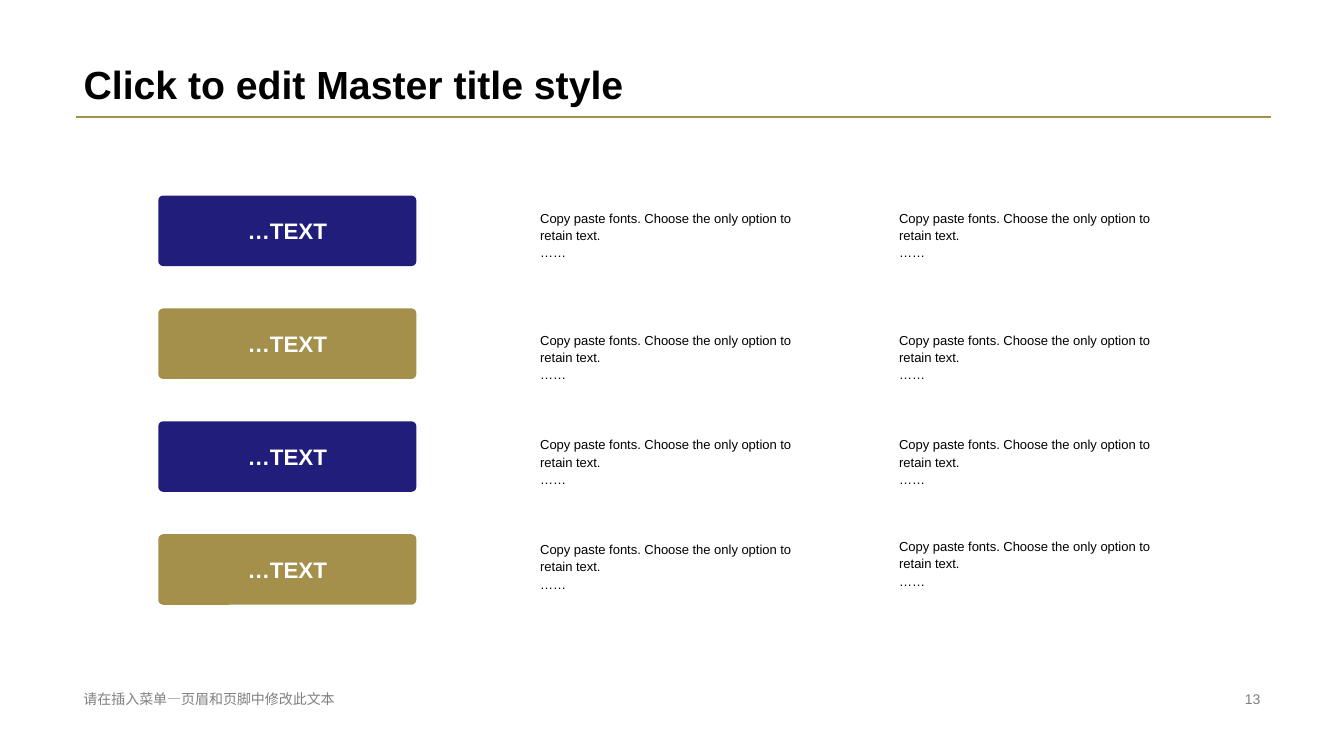
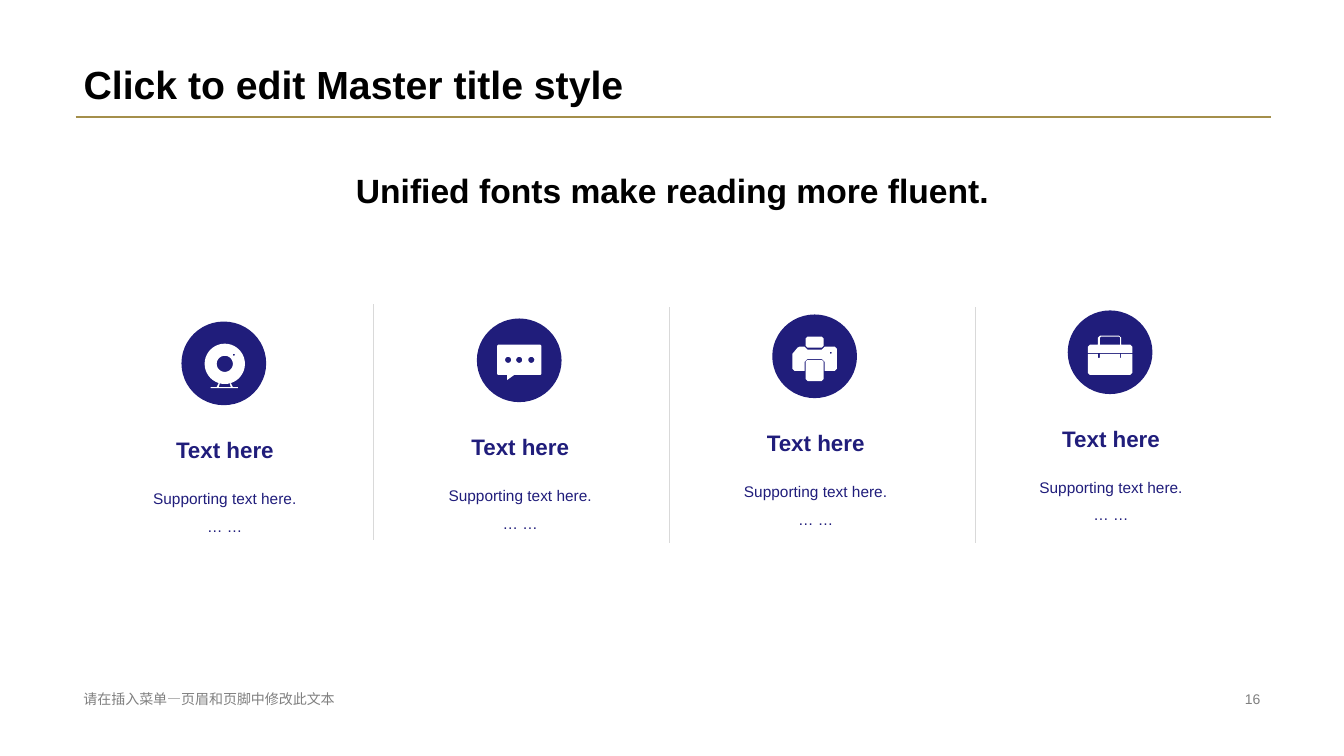
"""Build two template slides: a labelled list and a row of icon columns."""
from dataclasses import dataclass
from math import cos, pi, sin

from lxml import etree
from pptx import Presentation
from pptx.dml.color import RGBColor
from pptx.enum.shapes import MSO_CONNECTOR, MSO_SHAPE
from pptx.enum.text import MSO_ANCHOR, MSO_AUTO_SIZE, PP_ALIGN
from pptx.oxml.ns import qn
from pptx.util import Inches, Pt

LEFT, CENTER, RIGHT = PP_ALIGN.LEFT, PP_ALIGN.CENTER, PP_ALIGN.RIGHT
TOP, MIDDLE, BOTTOM = MSO_ANCHOR.TOP, MSO_ANCHOR.MIDDLE, MSO_ANCHOR.BOTTOM
STRAIGHT = MSO_CONNECTOR.STRAIGHT
ELLIPSE, ROUNDED = MSO_SHAPE.OVAL, MSO_SHAPE.ROUNDED_RECTANGLE
NO_AUTOFIT = MSO_AUTO_SIZE.NONE
TITLE_ONLY = 5


@dataclass(frozen=True)
class Theme:
    """Colours, font and type sizes shared by the slides."""
    navy: str = "201D7B"
    gold: str = "A48F4B"
    black: str = "000000"
    white: str = "FFFFFF"
    grey: str = "808080"
    divider: str = "D9D9D9"
    font: str = "Arial"
    title: float = 28
    headline: float = 24
    label: float = 16
    support: float = 11
    footer: float = 10
    description: float = 9.3


THEME = Theme()
TITLE = "Click to edit Master title style"
FOOTER = "请在插入菜单—页眉和页脚中修改此文本"
LABEL = "…TEXT"
DESCRIPTION = "Copy paste fonts. Choose the only option to retain text.\n……"
HEADLINE = "Unified fonts make reading more fluent."
COLUMN_HEADING = "Text here"
COLUMN_SUPPORT = "Supporting text here.\n… …"

LABEL_FILLS = (THEME.navy, THEME.gold, THEME.navy, THEME.gold)
DESCRIPTION_COLUMNS = {
    5.26: (2.02, 3.23, 4.27, 5.31),
    8.82: (2.02, 3.23, 4.27, 5.28),
}
COLUMN_PITCH = 2.93
DISC_TOPS = (3.19, 3.16, 3.12, 3.08)
DIVIDERS = ((3.7, 3.02), (6.64, 3.05), (9.67, 3.05))


def circle(x, y, radius, steps=40):
    """Return the outline of a circle as points."""
    angles = [2 * pi * step / steps for step in range(steps)]
    return [(x + radius * cos(a), y + radius * sin(a)) for a in angles]


def box(left, top, right, bottom, cut=0):
    """Return a rectangle outline whose corners are cut off by the given length."""
    if not cut:
        return [(left, top), (right, top), (right, bottom), (left, bottom)]
    return [(left + cut, top), (right - cut, top),
            (right, top + cut), (right, bottom - cut),
            (right - cut, bottom), (left + cut, bottom),
            (left, bottom - cut), (left, top + cut)]


WEBCAM = [
    circle(0.43, 0.42, 0.2),
    circle(0.43, 0.42, 0.08),
    circle(0.52, 0.33, 0.01),
    [(0.37, 0.61), (0.38, 0.62), (0.37, 0.65), (0.35, 0.65)],
    [(0.49, 0.61), (0.48, 0.62), (0.49, 0.65), (0.51, 0.65)],
    box(0.29, 0.65, 0.56, 0.66),
]
CHAT = [
    box(0.2, 0.26, 0.64, 0.56, 0.01),
    [(0.3, 0.56), (0.37, 0.56), (0.3, 0.61)],
    *(circle(x, 0.41, 0.03) for x in (0.31, 0.42, 0.54)),
]
PRINTER = [
    box(0.33, 0.22, 0.51, 0.33, 0.02),
    box(0.33, 0.45, 0.51, 0.66, 0.02),
    [(0.27, 0.32), (0.32, 0.32), (0.35, 0.35), (0.49, 0.35), (0.52, 0.32),
     (0.62, 0.32), (0.64, 0.34), (0.64, 0.54), (0.62, 0.56), (0.52, 0.56),
     (0.52, 0.47), (0.49, 0.44), (0.35, 0.44), (0.32, 0.47), (0.32, 0.56),
     (0.22, 0.56), (0.2, 0.54), (0.2, 0.39), (0.25, 0.33)],
    circle(0.58, 0.38, 0.01),
]
BRIEFCASE = [
    [(0.2, 0.42), (0.2, 0.36), (0.22, 0.34), (0.3, 0.34), (0.3, 0.27),
     (0.32, 0.25), (0.51, 0.25), (0.53, 0.27), (0.53, 0.34), (0.62, 0.34),
     (0.64, 0.36), (0.64, 0.42)],
    [(0.32, 0.34), (0.32, 0.27), (0.33, 0.26), (0.51, 0.26), (0.52, 0.27),
     (0.52, 0.34)],
    [(0.2, 0.43), (0.3, 0.43), (0.3, 0.47), (0.32, 0.47), (0.32, 0.43),
     (0.52, 0.43), (0.52, 0.47), (0.53, 0.47), (0.53, 0.43), (0.64, 0.43),
     (0.64, 0.62), (0.62, 0.64), (0.22, 0.64), (0.2, 0.62)],
]
ICONS = (WEBCAM, CHAT, PRINTER, BRIEFCASE)


def rgb(colour):
    """Convert a hex string to a colour."""
    return RGBColor.from_string(colour)


def write(shape, text, size, colour, bold=False, align=LEFT, anchor=TOP, spacing=1.0):
    """Fill a shape with uniformly formatted text."""
    frame = shape.text_frame
    frame.text = text
    frame.word_wrap = True
    frame.auto_size = NO_AUTOFIT
    frame.vertical_anchor = anchor
    for paragraph in frame.paragraphs:
        paragraph.alignment = align
        paragraph.line_spacing = spacing
        for run in paragraph.runs:
            run.font.name = THEME.font
            run.font.size = Pt(size)
            run.font.bold = bold
            run.font.color.rgb = rgb(colour)


def add_text(slide, area, text, size, colour, **style):
    """Add a text box at left, top, width, height in inches."""
    write(slide.shapes.add_textbox(*map(Inches, area)), text, size, colour, **style)


def paint(shape, colour):
    """Give a shape a plain fill without line or shadow."""
    shape.fill.solid()
    shape.fill.fore_color.rgb = rgb(colour)
    shape.line.fill.background()
    shape.shadow.inherit = False


def add_block(slide, kind, area, colour):
    """Add a plain filled preset shape."""
    block = slide.shapes.add_shape(kind, *map(Inches, area))
    paint(block, colour)
    return block


def add_rule(slide, start, end, colour, width):
    """Add a straight line without shadow."""
    rule = slide.shapes.add_connector(STRAIGHT, *map(Inches, start + end))
    rule.line.color.rgb = rgb(colour)
    rule.line.width = Pt(width)
    etree.SubElement(rule._element.spPr, qn("a:effectLst"))


def add_icon(slide, left, top, contours):
    """Draw contours as one white freeform, inner ones as holes."""
    first, *others = [[(Inches(x), Inches(y)) for x, y in c] for c in contours]
    builder = slide.shapes.build_freeform(*first[0])
    builder.add_line_segments(first[1:], close=True)
    for contour in others:
        builder.move_to(*contour[0])
        builder.add_line_segments(contour[1:], close=True)
    paint(builder.convert_to_shape(Inches(left), Inches(top)), THEME.white)


def add_base_slide(deck, number):
    """Add a slide with title, title rule, footer and slide number."""
    slide = deck.slides.add_slide(deck.slide_layouts[TITLE_ONLY])
    title = slide.shapes.title
    title.left, title.top, title.width, title.height = map(Inches, (0.73, 0, 11.87, 1.12))
    write(title, TITLE, THEME.title, THEME.black, bold=True, anchor=BOTTOM, spacing=0.9)
    add_rule(slide, (0.75, 1.16), (12.61, 1.16), THEME.gold, 2)
    add_text(slide, (0.73, 6.82, 4.53, 0.23), FOOTER, THEME.footer, THEME.grey, anchor=MIDDLE)
    add_text(slide, (9.42, 6.82, 3.18, 0.23), str(number), THEME.footer, THEME.grey,
             align=RIGHT, anchor=MIDDLE)
    return slide


def add_list_slide(deck):
    """Build the slide with four labels and two description columns."""
    slide = add_base_slide(deck, 13)
    for row, fill in enumerate(LABEL_FILLS):
        label = add_block(slide, ROUNDED, (1.57, 1.94 + 1.12 * row, 2.56, 0.7), fill)
        label.adjustments[0] = 0.07
        write(label, LABEL, THEME.label, THEME.white, bold=True, align=CENTER, anchor=MIDDLE)
    for left, tops in DESCRIPTION_COLUMNS.items():
        for top in tops:
            add_text(slide, (left, top, 2.93, 0.61), DESCRIPTION, THEME.description,
                     THEME.black, spacing=1.1)


def add_icon_column(slide, left, top, icon):
    """Add a disc with its icon, heading and supporting text."""
    disc_left = left + 0.91
    add_block(slide, ELLIPSE, (disc_left, top, 0.84, 0.83), THEME.navy)
    add_icon(slide, disc_left, top, icon)
    add_text(slide, (left, top + 1.03, 2.68, 0.48), COLUMN_HEADING, THEME.label, THEME.navy,
             bold=True, align=CENTER, anchor=MIDDLE)
    add_text(slide, (left, top + 1.52, 2.68, 1), COLUMN_SUPPORT, THEME.support, THEME.navy,
             align=CENTER, spacing=1.5)


def add_icon_slide(deck):
    """Build the slide with a headline and four icon columns."""
    slide = add_base_slide(deck, 16)
    add_text(slide, (3.1, 1.57, 7.14, 0.64), HEADLINE, THEME.headline, THEME.black,
             bold=True, align=CENTER, anchor=MIDDLE)
    for column, (top, icon) in enumerate(zip(DISC_TOPS, ICONS)):
        add_icon_column(slide, 0.89 + COLUMN_PITCH * column, top, icon)
    for x, top in DIVIDERS:
        add_rule(slide, (x, top), (x, top + 2.34), THEME.divider, 0.25)


def main():
    """Build and save the presentation."""
    deck = Presentation()
    deck.slide_width, deck.slide_height = Inches(13.33), Inches(7.5)
    add_list_slide(deck)
    add_icon_slide(deck)
    deck.save("out.pptx")


if __name__ == "__main__":
    main()
